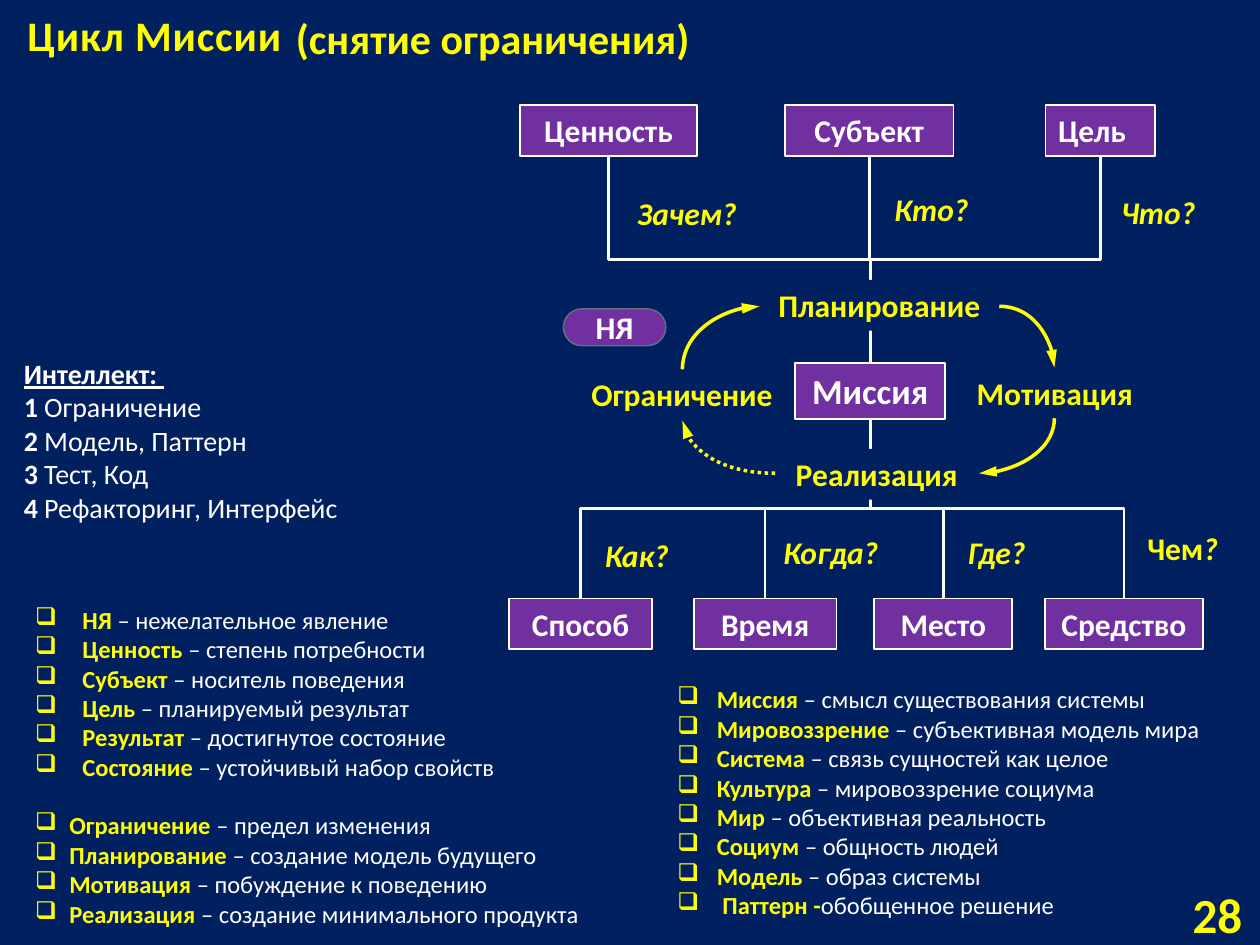
from lxml import etree
from pptx import Presentation
from pptx.dml.color import RGBColor
from pptx.enum.dml import MSO_LINE
from pptx.enum.shapes import MSO_CONNECTOR, MSO_SHAPE
from pptx.enum.text import MSO_ANCHOR, MSO_AUTO_SIZE, PP_ALIGN
from pptx.oxml.ns import qn
from pptx.util import Pt

RECT, PILL = MSO_SHAPE.RECTANGLE, MSO_SHAPE.ROUNDED_RECTANGLE
ELBOW, CURVE = MSO_CONNECTOR.ELBOW, MSO_CONNECTOR.CURVE
LEFT, CENTER, RIGHT = PP_ALIGN.LEFT, PP_ALIGN.CENTER, PP_ALIGN.RIGHT
TOP, MIDDLE, BOTTOM = MSO_ANCHOR.TOP, MSO_ANCHOR.MIDDLE, MSO_ANCHOR.BOTTOM
DOTS = MSO_LINE.ROUND_DOT
NAVY, PURPLE, YELLOW, WHITE, SLATE = "002060", "7030A0", "FFFF00", "FFFFFF", "5D7080"
ROW = 29


def rgb(value):
    return RGBColor.from_string(value)


def add_run(p, text, size, color, **fmt):
    r = p.add_run()
    r.text = text
    r.font.color.rgb = rgb(color)
    for name, value in {"name": "Calibri", "size": Pt(size), "bold": True, **fmt}.items():
        setattr(r.font, name, value)
    return r


def set_frame(sp, anchor=TOP):
    tf = sp.text_frame
    for name, value in {"word_wrap": True, "auto_size": MSO_AUTO_SIZE.NONE,
                        "vertical_anchor": anchor}.items():
        setattr(tf, name, value)
    return tf


def add_textbox(s, x, y, w, h, anchor=TOP):
    return set_frame(s.shapes.add_textbox(Pt(x), Pt(y), Pt(w), Pt(h)), anchor)


def add_label(s, x, y, w, h, text, size, align=LEFT, anchor=TOP, **fmt):
    p = add_textbox(s, x, y, w, h, anchor).paragraphs[0]
    p.alignment = align
    add_run(p, text, size, YELLOW, **fmt)
    return p


def add_node(s, x, y, w, h, text, size=18, color=WHITE, fill=PURPLE, line=WHITE,
             weight=1, kind=RECT, align=CENTER, anchor=TOP):
    sp = s.shapes.add_shape(kind, Pt(x), Pt(y), Pt(w), Pt(h))
    sp.shadow.inherit = False
    sp.fill.solid()
    sp.fill.fore_color.rgb = rgb(fill)
    if line:
        sp.line.color.rgb = rgb(line)
        sp.line.width = Pt(weight)
    else:
        sp.line.fill.background()
    p = set_frame(sp, anchor).paragraphs[0]
    p.alignment = align
    add_run(p, text, size, color)
    return sp


def add_link(s, kind, x1, y1, x2, y2, color, weight, vertical=True):
    if vertical:
        cx, cy = (x1 + x2) / 2, (y1 + y2) / 2
        w, h = abs(y2 - y1), abs(x2 - x1)
        c = s.shapes.add_connector(kind, Pt(cx - w / 2), Pt(cy - h / 2),
                                   Pt(cx + w / 2), Pt(cy + h / 2))
        xfrm = c._element.spPr.find(qn("a:xfrm"))
        xfrm.set("rot", str((90 if y2 > y1 else 270) * 60000))
        if (x2 - x1) * (y2 - y1) > 0:
            xfrm.set("flipV", "1")
    else:
        c = s.shapes.add_connector(kind, Pt(x1), Pt(y1), Pt(x2), Pt(y2))
    c.line.color.rgb = rgb(color)
    c.line.width = Pt(weight)
    etree.SubElement(c._element.spPr, qn("a:effectLst"))
    return c


def add_arc(s, x1, y1, x2, y2, vertical, dash=None):
    c = add_link(s, CURVE, x1, y1, x2, y2, YELLOW, 2, vertical)
    c._element.spPr.find(qn("a:prstGeom")).set("prst", "curvedConnector2")
    if dash:
        c.line.dash_style = dash
    etree.SubElement(c.line._get_or_add_ln(), qn("a:tailEnd"), type="triangle", w="med", len="lg")


def header(s, x, y, w, h):
    title = s.shapes.title
    for name, value in {"left": x, "top": y, "width": 183, "height": h}.items():
        setattr(title, name, Pt(value))
    p = set_frame(title, BOTTOM).paragraphs[0]
    p.alignment = LEFT
    r = add_run(p, "Цикл Миссии", 24, YELLOW)
    r.font._element.set("spc", "50")
    add_label(s, x + 153.5, y + 1.5, w - 153.5, h, "(снятие ограничения)", 24)


def cycle_diagram(s, x, y):
    mid, core_top, core_h, low = x + 206.5, y + 147.5, 32, y + 282
    upper = [("Ценность", 6, 101.5, CENTER), ("Субъект", 157.5, 96.5, CENTER),
             ("Цель", 306.5, 62.5, LEFT)]
    lower = [("Способ", 0, 81.5), ("Время", 105.5, 81.5),
             ("Место", 208.5, 79), ("Средство", 306, 90.5)]
    for text, dx, w, align in upper:
        add_link(s, ELBOW, mid, core_top, x + dx + w / 2, y + ROW, WHITE, 1.5)
        add_node(s, x + dx, y, w, ROW, text, align=align)
    for text, dx, w in lower:
        add_link(s, ELBOW, x + dx + w / 2, low, mid, core_top + core_h, WHITE, 1.5)
        add_node(s, x + dx, low, w, ROW, text)

    for text, dx, dy, w in [("Ограничение", 36.5, 151, 124.5), ("Мотивация", 256, 150, 111.5),
                            ("Планирование", 143, 100, 137), ("Реализация", 152, 196.5, 116)]:
        add_node(s, x + dx, y + dy, w, ROW, text, color=YELLOW, fill=NAVY, line=None)
    add_node(s, x + 163.5, core_top, 85.5, core_h, "Миссия", 20)
    pill = add_node(s, x + 31, y + 116.5, 58.5, 21, "НЯ", line=SLATE, weight=0.85,
                    kind=PILL, anchor=MIDDLE)
    pill.adjustments[0] = 0.5

    for x1, y1, x2, y2, vertical, dash in [
            (280, 115, 311.5, 150, False, None), (311.5, 179, 268.5, 210.5, True, None),
            (152, 210.5, 99, 180.5, False, DOTS), (99, 151, 143, 115, True, None)]:
        add_arc(s, x + x1, y + y1, x + x2, y + y2, vertical, dash)

    for text, dx, dy, w in [("Зачем?", 66, 47.5, 82), ("Кто?", 213, 45, 71.5),
                            ("Что?", 342.5, 46.5, 65.5), ("Как?", 47.5, 242.5, 59),
                            ("Когда?", 149.5, 241, 82), ("Где?", 255, 241, 55.5)]:
        add_label(s, x + dx, y + dy, w, ROW, text, 18, italic=True)
    p = add_label(s, x + 357.5, y + 239, 59, ROW, "Чем", 18)
    add_run(p, "?", 18, YELLOW, italic=True)


def glossary(s, x, y, w, h, indent, terms):
    tf = add_textbox(s, x, y, w, h)
    for i, (term, meaning) in enumerate(terms):
        p = tf.add_paragraph() if i else tf.paragraphs[0]
        pPr = p._p.get_or_add_pPr()
        pPr.set("marL", str(Pt(indent)))
        pPr.set("indent", str(-Pt(indent)))
        etree.SubElement(pPr, qn("a:buChar"), char="❑")
        add_run(p, term, 14, YELLOW)
        add_run(p, meaning, 14, WHITE, bold=False)


def intellect_list(s, x, y, w, h):
    tf = add_textbox(s, x, y, w, h)
    add_run(tf.paragraphs[0], "Интеллект: ", 16, WHITE, underline=True)
    steps = ["Ограничение", "Модель, Паттерн", "Тест, Код", "Рефакторинг, Интерфейс"]
    for number, step in enumerate(steps, 1):
        p = tf.add_paragraph()
        add_run(p, str(number), 16, WHITE)
        add_run(p, f" {step}", 16, WHITE, bold=False)


def main():
    prs = Presentation()
    prs.slide_width, prs.slide_height = Pt(720), Pt(540)
    s = prs.slides.add_slide(prs.slide_layouts[5])
    s.background.fill.solid()
    s.background.fill.fore_color.rgb = rgb(NAVY)

    header(s, 8.5, 2, 411, 36)
    cycle_diagram(s, 291, 60)
    intellect_list(s, 6.5, 200, 209.5, 104.5)
    glossary(s, 13, 342, 310, 109, 27, [
        ("НЯ ", "– нежелательное явление"), ("Ценность ", "– степень потребности"),
        ("Субъект ", "– носитель поведения"), ("Цель ", "– планируемый результат"),
        ("Результат ", "– достигнутое состояние"),
        ("Состояние ", "– устойчивый набор свойств")])
    glossary(s, 13, 459.5, 351, 75, 19.5, [
        ("Ограничение ", "– предел изменения"),
        ("Планирование ", "– создание модель будущего"),
        ("Мотивация ", "– побуждение к поведению"),
        ("Реализация ", "– создание минимального продукта")])
    glossary(s, 380, 387.5, 317, 143, 22.5, [
        ("Миссия", " – смысл существования системы"),
        ("Мировоззрение", " – субъективная модель мира"),
        ("Система", " – связь сущностей как целое"),
        ("Культура", " – мировоззрение социума"), ("Мир", " – объективная реальность"),
        ("Социум", " – общность людей"), ("Модель", " – образ системы"),
        (" Паттерн -", "обобщенное решение")])
    add_label(s, 666, 507.5, 51, 29, "28", 28, RIGHT, MIDDLE)
    prs.save("out.pptx")


if __name__ == "__main__":
    main()
